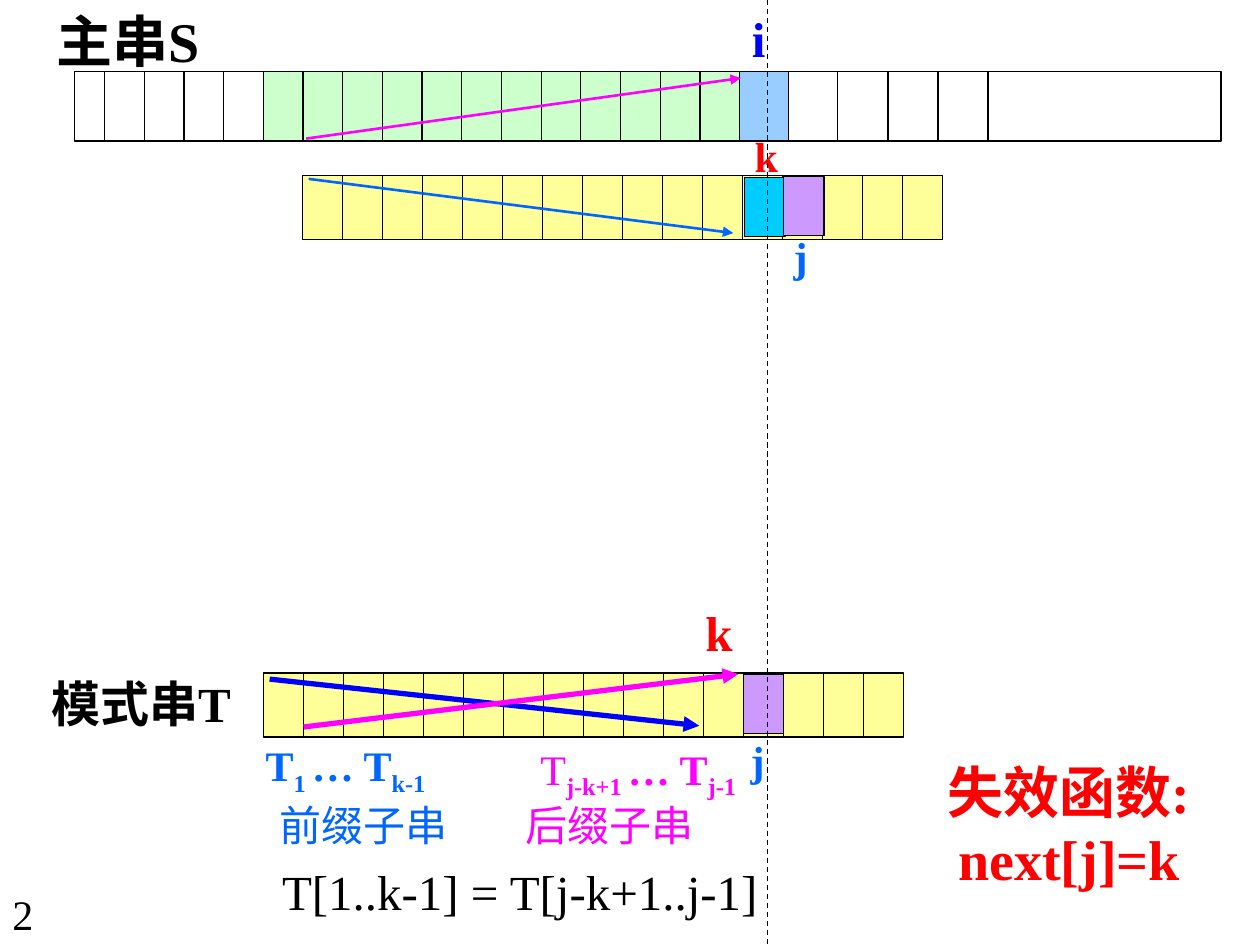
from lxml import etree
from pptx import Presentation
from pptx.dml.color import RGBColor
from pptx.enum.dml import MSO_LINE_DASH_STYLE as Dash
from pptx.enum.shapes import MSO_CONNECTOR as Connector, MSO_SHAPE as Shape
from pptx.enum.text import PP_ALIGN as Align
from pptx.oxml.ns import qn
from pptx.util import Inches, Pt

LATIN, CJK = "Times New Roman", "Noto Sans CJK SC"
COLORS = {
    "black": "000000", "red": "FF0000", "blue": "0000FF", "sky": "0066FF",
    "magenta": "FF00FF", "yellow": "FFFF99", "green": "CCFFCC",
    "cyan": "00CCFF", "violet": "CC99FF", "pale_blue": "99CCFF",
}
PATTERN_CELLS = 16
MAIN_STEP, WIDE_STEP = 0.315, 0.397


def rgb(name):
    return RGBColor.from_string(COLORS[name])


def add_box(slide, left, top, width, height, fill=None):
    box = slide.shapes.add_shape(
        Shape.RECTANGLE, Inches(left), Inches(top), Inches(width), Inches(height))
    box.shadow.inherit = False
    if fill:
        box.fill.solid()
        box.fill.fore_color.rgb = rgb(fill)
    else:
        box.fill.background()
    box.line.color.rgb = rgb("black")
    box.line.width = Pt(0.75)


def add_line(slide, start, end, color="black", width=0.75, arrow=False, dash=None):
    line = slide.shapes.add_connector(
        Connector.STRAIGHT, *(Inches(value) for value in (*start, *end)))
    line.line.color.rgb = rgb(color)
    line.line.width = Pt(width)
    if dash:
        line.line.dash_style = dash
    if arrow:
        etree.SubElement(line.line._get_or_add_ln(), qn("a:tailEnd"), type="triangle")
    etree.SubElement(line._element.spPr, qn("a:effectLst"))


def add_dividers(slide, left, top, height, step, count):
    for index in range(count):
        x = left + index * step
        add_line(slide, (x, top), (x, top + height))


def add_text(slide, left, top, width, height, paragraphs, size, color,
             font=LATIN, align=Align.LEFT):
    """Each paragraph is a list of runs: (text, bold, subscript)."""
    label = slide.shapes.add_textbox(
        Inches(left), Inches(top), Inches(width), Inches(height))
    frame = label.text_frame
    frame.word_wrap = True
    for index, runs in enumerate(paragraphs):
        paragraph = frame.add_paragraph() if index else frame.paragraphs[0]
        paragraph.alignment = align
        for text, bold, subscript in runs:
            run = paragraph.add_run()
            run.text = text
            run.font.size = Pt(size)
            run.font.bold = bold
            run.font.name = font
            run.font.color.rgb = rgb(color)
            properties = run.font._element
            etree.SubElement(properties, qn("a:ea"), typeface=CJK)
            if subscript:
                properties.set("baseline", "-25000")


def add_label(slide, left, top, width, height, text, size, color,
              bold=True, font=LATIN):
    add_text(slide, left, top, width, height, [[(text, bold, False)]], size, color, font)


def add_pattern_cells(slide, left, top, width, height):
    add_box(slide, left, top, width, height, "yellow")
    step = width / PATTERN_CELLS
    add_dividers(slide, left, top, height, step, PATTERN_CELLS)


def add_shifted_pattern(slide, left, top, width, height):
    add_pattern_cells(slide, left, top, width, height)
    add_label(slide, left + 3.49, top - 0.4, 0.74, 0.5, "k", 24, "red")
    add_box(slide, left + 3.51, top + 0.02, 0.32, 0.47, "cyan")
    add_label(slide, left + 3.8, top + 0.39, 0.74, 0.5, "j", 24, "sky")
    add_box(slide, left + 3.82, top + 0.01, 0.32, 0.47, "violet")
    add_line(slide, (left + 0.05, top + 0.03), (left + 3.42, top + 0.46),
             "sky", 1.5, arrow=True)


def add_main_string(slide, left, top, width, height):
    add_box(slide, left + 1.5, top, 3.78, height, "green")
    add_box(slide, left, top, width, height)
    add_dividers(slide, left + 0.24, top, height, MAIN_STEP, 16)
    add_box(slide, left + 5.28, top, 0.39, height, "pale_blue")
    add_dividers(slide, left + 6.06, top, height, WIDE_STEP, 4)
    add_line(slide, (left + 1.84, top + 0.53), (left + 5.29, top + 0.05),
             "magenta", 1.5, arrow=True)
    add_label(slide, left - 0.24, top - 0.57, 1.89, 0.63, "主串S", 32, "black")
    add_label(slide, left + 5.28, top - 0.55, 0.74, 0.57, "i", 28, "blue")


def add_pattern_string(slide, left, top, width, height):
    add_pattern_cells(slide, left, top, width, height)
    add_label(slide, left - 1.78, top - 0.04, 1.89, 0.57, "模式串T", 28, "black")
    add_box(slide, left + 3.81, top + 0.01, 0.32, 0.47, "violet")
    add_line(slide, (left + 0.05, top + 0.05), (left + 3.46, top + 0.42),
             "blue", 3, arrow=True)
    add_line(slide, (left + 0.32, top + 0.43), (left + 3.77, top + 0.01),
             "magenta", 3, arrow=True)
    add_label(slide, left + 3.41, top - 0.61, 0.74, 0.57, "k", 28, "red")
    add_label(slide, left + 3.77, top + 0.44, 0.74, 0.5, "j", 24, "sky")


def add_explanation(slide, left, top, width, height):
    # Prefix and suffix substrings
    add_text(slide, left, top, 1.73, 0.5, [[
        ("T", True, False), ("1 ", True, True),
        ("… T", True, False), ("k-1", True, True)]], 24, "sky")
    add_text(slide, left + 2.18, top + 0.03, 2.01, 0.5, [[
        ("T", False, False), ("j-k+1 ", True, True),
        ("… T", True, False), ("j-1", True, True)]], 24, "magenta")
    for offset, name, color in ((0.11, "前缀子串", "sky"), (2.06, "后缀子串", "magenta")):
        add_label(slide, left + offset, top + 0.48, 1.73, 0.5, name, 24, color, False, CJK)
    # Equality of both substrings
    add_label(slide, left + 0.13, top + height - 0.57, width - 0.13, 0.57,
              "T[1..k-1] = T[j-k+1..j-1]", 28, "black", False)


def add_failure_function(slide, left, top, width, height):
    lines = [[(text, True, False)] for text in ("失效函数:", "next[j]=k")]
    add_text(slide, left, top, width, height, lines, 32, "red", align=Align.CENTER)


def main():
    deck = Presentation()
    deck.slide_width, deck.slide_height = Inches(10), Inches(7.5)
    slide = deck.slides.add_slide(deck.slide_layouts[6])

    add_shifted_pattern(slide, 2.4, 1.39, 5.08, 0.51)
    add_main_string(slide, 0.59, 0.57, 9.1, 0.55)
    add_pattern_string(slide, 2.09, 5.34, 5.08, 0.51)
    add_explanation(slide, 2.01, 5.82, 4.7, 1.54)
    add_failure_function(slide, 7.05, 5.96, 2.87, 1.18)

    # Mismatch position and page number
    add_line(slide, (6.09, 0), (6.09, 7.5), dash=Dash.DASH)
    add_label(slide, 0, 7, 0.55, 0.5, "2", 24, "black", False)

    deck.save("out.pptx")


if __name__ == "__main__":
    main()
